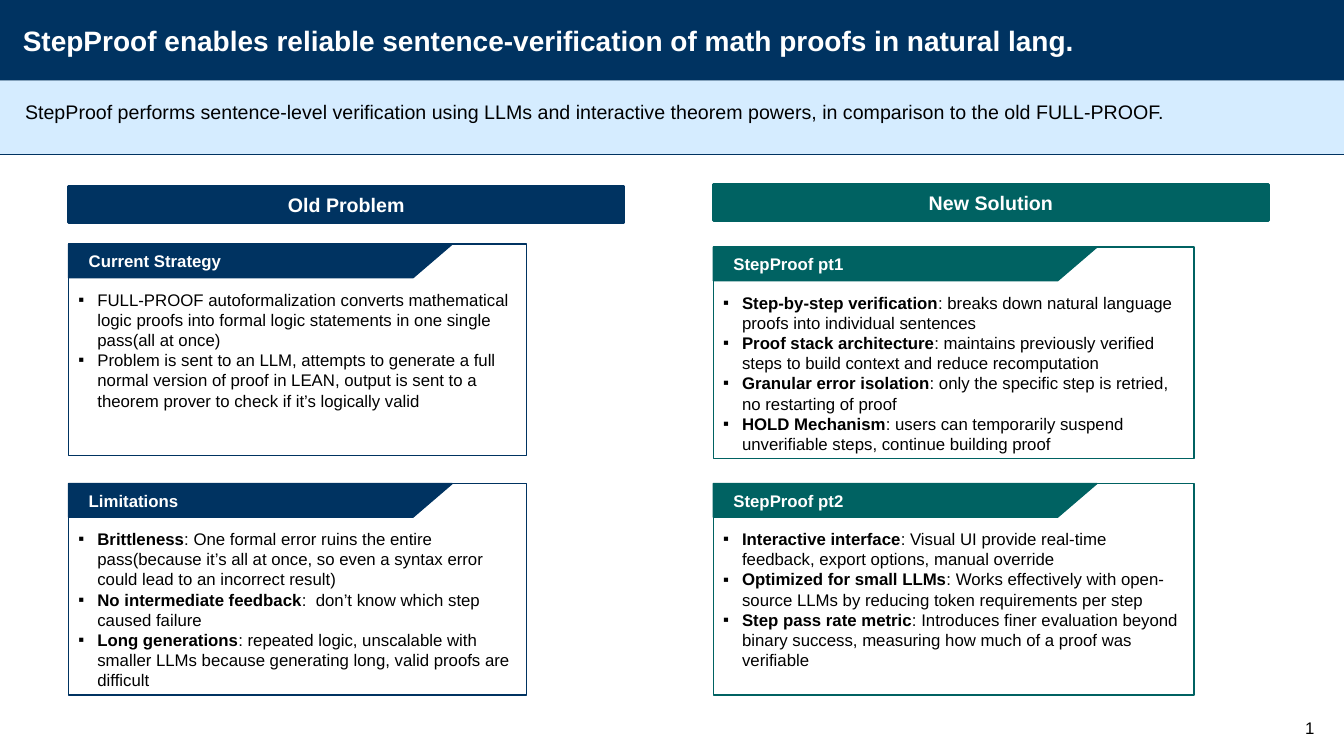
from dataclasses import dataclass

from lxml.etree import SubElement
from pptx import Presentation
from pptx.dml.color import RGBColor
from pptx.enum.shapes import MSO_CONNECTOR, MSO_SHAPE
from pptx.enum.text import MSO_ANCHOR as Anchor, PP_ALIGN as Align
from pptx.oxml.ns import qn
from pptx.util import Pt

NAVY = RGBColor(0x00, 0x33, 0x61)
TEAL = RGBColor(0x00, 0x62, 0x62)
PALE_BLUE = RGBColor(0xD5, 0xEC, 0xFF)
WHITE = RGBColor(0xFF, 0xFF, 0xFF)
BLACK = RGBColor(0x00, 0x00, 0x00)

SLIDE_WIDTH, SLIDE_HEIGHT = 960, 540
TITLE_BOTTOM, SUBTITLE_BOTTOM = 57.6, 110.2
HEADER_WIDTH, HEADER_HEIGHT = 396.7, 26
CARD_HEIGHT = 151.2
TAB_WIDTH, TAB_SLANT, TAB_HEIGHT = 274, 28, 24
BULLET_INDENT = 13.5


@dataclass(frozen=True)
class Bullet:
    text: str
    lead: str = ""


@dataclass(frozen=True)
class Card:
    top: float
    heading: str
    bullets: tuple[Bullet, ...]


@dataclass(frozen=True)
class Column:
    heading: str
    left: float
    top: float
    card_width: float
    color: RGBColor
    cards: tuple[Card, ...]


COLUMNS = (
    Column("Old Problem", 49, 133, 327, NAVY, (
        Card(174.4, "Current Strategy", (
            Bullet("FULL-PROOF autoformalization converts mathematical logic proofs into "
                   "formal logic statements in one single pass(all at once)"),
            Bullet("Problem is sent to an LLM, attempts to generate a full normal version of "
                   "proof in LEAN, output is sent to a theorem prover to check if it’s "
                   "logically valid"),
        )),
        Card(345.4, "Limitations", (
            Bullet(": One formal error ruins the entire pass(because it’s all at once, so even "
                   "a syntax error could lead to an incorrect result)", "Brittleness"),
            Bullet(":  don’t know which step caused failure", "No intermediate feedback"),
            Bullet(": repeated logic, unscalable with smaller LLMs because generating long, "
                   "valid proofs are difficult", "Long generations"),
        )),
    )),
    Column("New Solution", 509.5, 131.5, 343.5, TEAL, (
        Card(176.5, "StepProof pt1", (
            Bullet(": breaks down natural language proofs into individual sentences",
                   "Step-by-step verification"),
            Bullet(": maintains previously verified steps to build context and reduce "
                   "recomputation", "Proof stack architecture"),
            Bullet(": only the specific step is retried, no restarting of proof",
                   "Granular error isolation"),
            Bullet(": users can temporarily suspend unverifiable steps, continue building "
                   "proof", "HOLD Mechanism"),
        )),
        Card(345.4, "StepProof pt2", (
            Bullet(": Visual UI provide real-time feedback, export options, manual override",
                   "Interactive interface"),
            Bullet(": Works effectively with open-source LLMs by reducing token requirements "
                   "per step", "Optimized for small LLMs"),
            Bullet(": Introduces finer evaluation beyond binary success, measuring how much "
                   "of a proof was verifiable", "Step pass rate metric"),
        )),
    )),
)


def add_run(paragraph, text: str, size: float, color: RGBColor, bold: bool = False) -> None:
    run = paragraph.add_run()
    run.text = text
    font = run.font
    font.name, font.size, font.bold = "Arial", Pt(size), bold
    font.color.rgb = color


def set_frame(shape, anchor: Anchor, left: float = 7.2, top: float = 3.6):
    """Set wrapping, anchor and insets; return the text frame."""
    frame = shape.text_frame
    frame.word_wrap = True
    frame.vertical_anchor = anchor
    frame.margin_left, frame.margin_top = Pt(left), Pt(top)
    frame.margin_right, frame.margin_bottom = Pt(7.2), Pt(3.6)
    return frame


def paint(shape, fill: RGBColor | None, line: RGBColor | None, line_width: float = 1) -> None:
    shape.shadow.inherit = False
    if fill is None:
        shape.fill.background()
    else:
        shape.fill.solid()
        shape.fill.fore_color.rgb = fill
    if line is None:
        shape.line.fill.background()
    else:
        shape.line.color.rgb = line
        shape.line.width = Pt(line_width)


def add_box(shapes, left: float, top: float, width: float, height: float,
            fill: RGBColor | None, line: RGBColor | None = None, line_width: float = 1):
    box = shapes.add_shape(MSO_SHAPE.RECTANGLE, Pt(left), Pt(top), Pt(width), Pt(height))
    paint(box, fill, line, line_width)
    return box


def add_label(shapes, text: str, left: float, top: float, width: float, height: float,
              size: float, color: RGBColor = BLACK, bold: bool = False,
              anchor: Anchor = Anchor.TOP, indent: float = 0) -> None:
    label = shapes.add_textbox(Pt(left), Pt(top), Pt(width), Pt(height))
    paragraph = set_frame(label, anchor).paragraphs[0]
    if indent:
        paragraph.space_before = Pt(3.6)
        paragraph._p.get_or_add_pPr().set("marL", str(Pt(indent)))
    add_run(paragraph, text, size, color, bold)


def add_bullet_mark(paragraph) -> None:
    properties = paragraph._p.get_or_add_pPr()
    properties.set("marL", str(Pt(BULLET_INDENT)))
    properties.set("indent", str(Pt(-BULLET_INDENT)))
    color = SubElement(properties, qn("a:buClr"))
    SubElement(color, qn("a:srgbClr"), val=str(BLACK))
    SubElement(properties, qn("a:buFont"), typeface="Arial")
    SubElement(properties, qn("a:buChar"), char="▪")


def add_card(shapes, column: Column, card: Card) -> None:
    body = add_box(shapes, column.left, card.top, column.card_width, CARD_HEIGHT,
                   None, column.color)
    frame = set_frame(body, Anchor.TOP, top=32.4)
    for index, bullet in enumerate(card.bullets):
        paragraph = frame.add_paragraph() if index else frame.paragraphs[0]
        paragraph.alignment = Align.LEFT
        add_bullet_mark(paragraph)
        if bullet.lead:
            add_run(paragraph, bullet.lead, 12, BLACK, bold=True)
        add_run(paragraph, bullet.text, 12, BLACK)

    right, bottom = column.left + TAB_WIDTH, card.top + TAB_HEIGHT
    outline = shapes.build_freeform(Pt(column.left), Pt(card.top))
    corners = ((right, card.top), (right - TAB_SLANT, bottom), (column.left, bottom))
    outline.add_line_segments([(Pt(x), Pt(y)) for x, y in corners], close=True)
    tab = outline.convert_to_shape()
    paint(tab, column.color, column.color)
    heading = set_frame(tab, Anchor.MIDDLE, left=14.4).paragraphs[0]
    heading.alignment = Align.LEFT
    add_run(heading, card.heading, 12, WHITE, bold=True)


def add_column(shapes, column: Column) -> None:
    for card in column.cards:
        add_card(shapes, column, card)
    header = add_box(shapes, column.left, column.top, HEADER_WIDTH, HEADER_HEIGHT,
                     column.color, column.color, 2)
    heading = set_frame(header, Anchor.MIDDLE).paragraphs[0]
    heading.alignment = Align.CENTER
    add_run(heading, column.heading, 14, WHITE, bold=True)


def add_banner(shapes) -> None:
    add_box(shapes, 0, 0, SLIDE_WIDTH, TITLE_BOTTOM, NAVY)
    add_box(shapes, 0, TITLE_BOTTOM, SLIDE_WIDTH, SUBTITLE_BOTTOM - TITLE_BOTTOM, PALE_BLUE)
    rule = shapes.add_connector(MSO_CONNECTOR.STRAIGHT, 0, Pt(SUBTITLE_BOTTOM),
                                Pt(SLIDE_WIDTH), Pt(SUBTITLE_BOTTOM))
    rule.line.color.rgb = NAVY
    rule.line.width = Pt(1)
    SubElement(rule._element.spPr, qn("a:effectLst"))
    add_label(shapes, "StepProof enables reliable sentence-verification of math proofs in "
              "natural lang.", 9.2, 0, 820, TITLE_BOTTOM, 20, WHITE, True, Anchor.MIDDLE)
    add_label(shapes, "StepProof performs sentence-level verification using LLMs and interactive "
              "theorem powers, in comparison to the old FULL-PROOF.",
              2.2, 67.7, 938, 31.7, 14, indent=8.6)


def main() -> None:
    deck = Presentation()
    deck.slide_width, deck.slide_height = Pt(SLIDE_WIDTH), Pt(SLIDE_HEIGHT)
    shapes = deck.slides.add_slide(deck.slide_layouts[6]).shapes
    add_banner(shapes)
    for column in COLUMNS:
        add_column(shapes, column)
    add_label(shapes, "1", 916.6, 509, 43.2, 31, 12, indent=8.6)
    deck.save("out.pptx")


if __name__ == "__main__":
    main()
